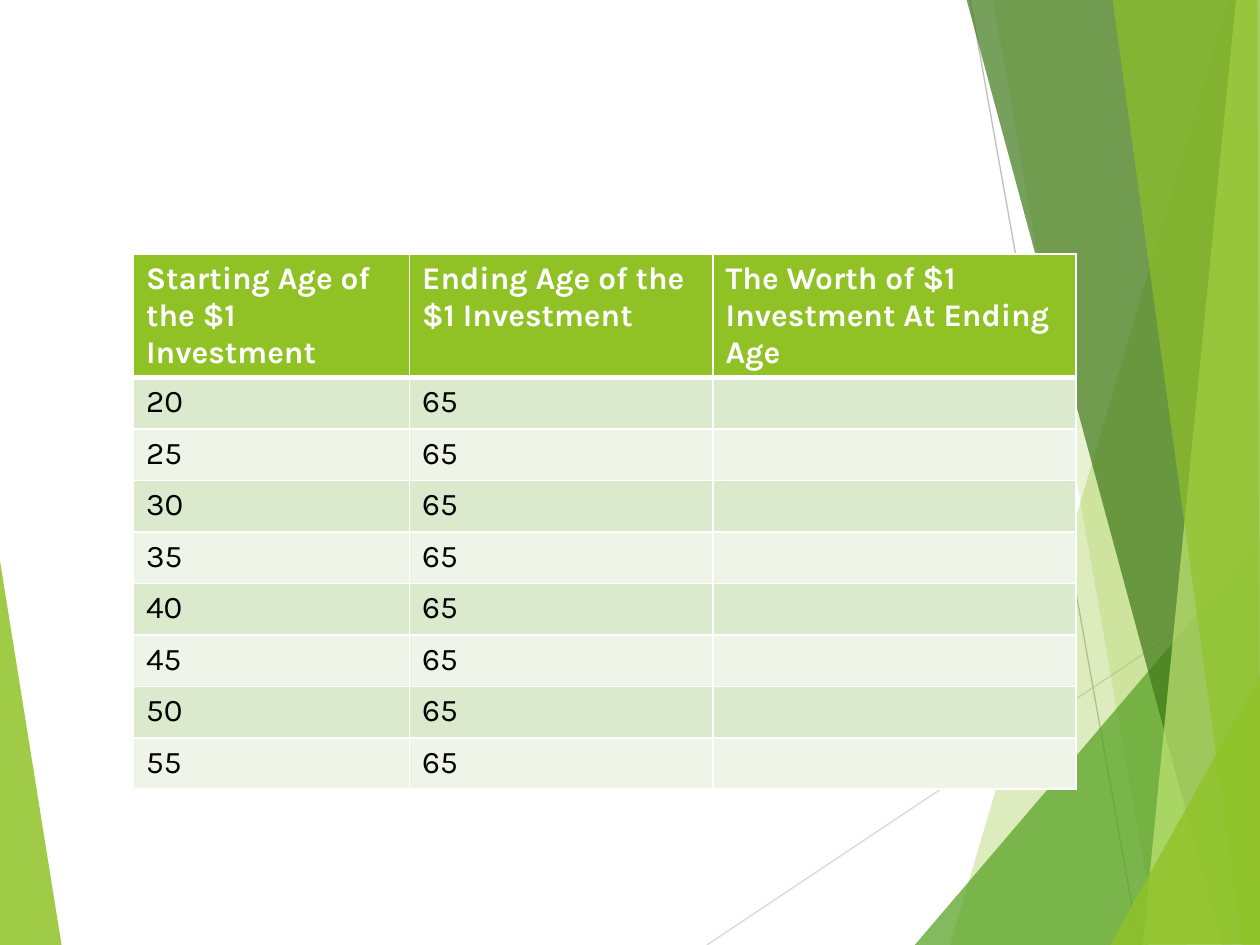
from dataclasses import dataclass

from lxml import etree
from pptx import Presentation
from pptx import util as u
from pptx.dml.color import RGBColor
from pptx.enum import shapes
from pptx.oxml.ns import qn

WIDTH, HEIGHT = u.Inches(10), u.Inches(7.5)
FONT = "Karla"
GREEN, WHITE, BLACK = "90C226", "FFFFFF", "000000"
BANDS = ("DBE9CD", "EEF4E8")


@dataclass(frozen=True)
class Facet:
    color: str
    opacity: int
    points: tuple[tuple[float, float], ...]


@dataclass(frozen=True)
class Ray:
    color: str
    start: tuple[float, float]
    end: tuple[float, float]


RAYS = (
    Ray("D9D9D9", (56.1, 100), (100.1, 60.9)),
    Ray("BFBFBF", (77, 0), (90.4, 100)),
)
LEFT_FACET = Facet(GREEN, 85, ((-0.1, 58.5), (4.9, 100.1), (-0.1, 100)))
RIGHT_FACETS = (
    Facet(GREEN, 30, ((97.5, 0), (75.4, 100), (100.2, 100.1), (100.1, 0.1))),
    Facet(GREEN, 20, ((78.8, -0.1), (91.9, 100), (100.1, 100), (100.1, -0.1))),
    Facet("54A021", 72, ((72.6, 100), (100, 57.2), (100.1, 100))),
    Facet("3F7819", 70, ((76.7, -0.1), (97, 100), (100.1, 99.9), (100.1, -0.1))),
    Facet("C0E474", 70, ((98.1, -0.1), (90.7, 100), (100.1, 100), (100, -0.1))),
    Facet(GREEN, 65, ((88.3, -0.1), (98.6, 100), (100, 100), (99.8, -0.1))),
    Facet(GREEN, 80, ((88.1, 100), (100.1, 71.3), (100.1, 99.9))),
)

HEADINGS = (
    "Starting Age of the $1 Investment",
    "Ending Age of the $1 Investment",
    "The Worth of $1 Investment At Ending Age",
)
RECORDS = [HEADINGS] + [(str(age), "65", "") for age in range(20, 60, 5)]
COLUMN_SHARES = (21.9, 24.1, 28.8)
ROW_SHARES = (12.9,) + (5.45,) * 7 + (5.2,)


def across(share: float) -> int:
    return round(WIDTH * share / 100)


def down(share: float) -> int:
    return round(HEIGHT * share / 100)


def rgb(color: str) -> RGBColor:
    return RGBColor.from_string(color)


def paint(fill, color: str) -> None:
    fill.solid()
    fill.fore_color.rgb = rgb(color)


def draw_facet(page, facet: Facet) -> None:
    corners = [(across(x), down(y)) for x, y in facet.points]
    builder = page.shapes.build_freeform(*corners[0])
    builder.add_line_segments(corners[1:], close=True)
    shape = builder.convert_to_shape()
    shape.shadow.inherit = False
    shape.line.fill.background()
    paint(shape.fill, facet.color)
    color = shape._element.spPr.find(".//" + qn("a:srgbClr"))
    etree.SubElement(color, qn("a:alpha"), val=str(facet.opacity * 1000))


def draw_ray(page, ray: Ray) -> None:
    (x1, y1), (x2, y2) = ray.start, ray.end
    line = page.shapes.add_connector(
        shapes.MSO_CONNECTOR.STRAIGHT, across(x1), down(y1), across(x2), down(y2))
    line.line.color.rgb = rgb(ray.color)
    line.line.width = u.Pt(0.75)
    etree.SubElement(line._element.spPr, qn("a:effectLst"))


def draw_borders(cell, top: float, bottom: float) -> None:
    properties = cell._tc.get_or_add_tcPr()
    sides = {"lnL": 1, "lnR": 1, "lnT": top, "lnB": bottom}
    for position, (side, points) in enumerate(sides.items()):
        border = etree.Element(qn("a:" + side), w=str(u.Pt(points)))
        fill = etree.SubElement(border, qn("a:solidFill"))
        etree.SubElement(fill, qn("a:srgbClr"), val=WHITE)
        properties.insert(position, border)


def fill_cell(cell, words: str, row: int) -> None:
    header = row == 0
    cell.text_frame.text = words
    paint(cell.fill, GREEN if header else BANDS[(row - 1) % 2])
    draw_borders(cell, top=3 if row == 1 else 1, bottom=3 if header else 1)
    for span in cell.text_frame.paragraphs[0].runs:
        span.font.name = FONT
        span.font.size = u.Pt(18)
        span.font.bold = header
        span.font.color.rgb = rgb(WHITE if header else BLACK)


def draw_table(page) -> None:
    table = page.shapes.add_table(
        len(RECORDS), len(HEADINGS), across(10.6), down(26.9),
        across(sum(COLUMN_SHARES)), down(sum(ROW_SHARES))).table
    table.horz_banding = False
    for column, share in zip(table.columns, COLUMN_SHARES):
        column.width = across(share)
    for row, (record, share) in enumerate(zip(RECORDS, ROW_SHARES)):
        table.rows[row].height = down(share)
        for column, words in enumerate(record):
            fill_cell(table.cell(row, column), words, row)


def main() -> None:
    deck = Presentation()
    deck.slide_width, deck.slide_height = WIDTH, HEIGHT
    page = deck.slides.add_slide(deck.slide_layouts[6])
    paint(page.background.fill, WHITE)
    draw_facet(page, LEFT_FACET)
    for ray in RAYS:
        draw_ray(page, ray)
    for facet in RIGHT_FACETS:
        draw_facet(page, facet)
    draw_table(page)
    deck.save("out.pptx")


if __name__ == "__main__":
    main()
